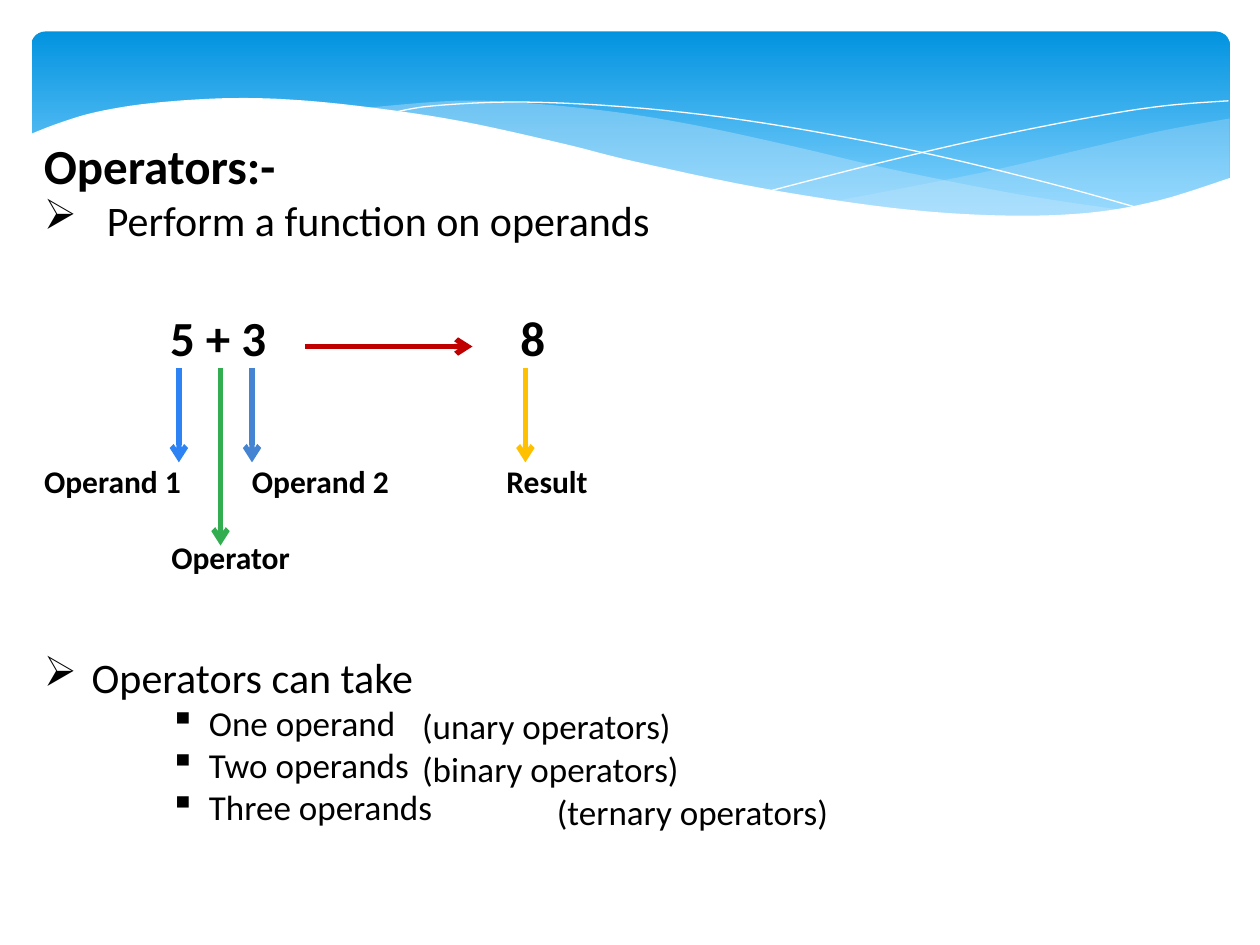
from pptx import Presentation
from pptx.util import Inches, Pt
from pptx.dml.color import RGBColor
from pptx.enum.shapes import MSO_SHAPE, MSO_CONNECTOR
from pptx.enum.text import PP_ALIGN
from pptx.oxml.ns import qn
from lxml.etree import SubElement

THEME = dict(font="Calibri", ink="000000", white="FFFFFF", pale="C6E7FC",
             top="0293E0", low="83D3FE", red="C00000", blue="2D83F4",
             steel="4584D3", gold="FFC000", green="32AE51",
             head=28, body=24, item=20, label=18, line=3)

KINDS = [
    ("One operand", "(unary operators)", 3.35),
    ("Two operands", "(binary operators)", 3.35),
    ("Three operands", "(ternary operators)", 4.42),
]

LINES = [
    dict(text="Operators:-", size="head", bold=True),
    dict(text="Perform a function on operands", size="body", mark="➢", left=0.5, hang=0.5),
    dict(text="Operators can take", size="body", mark="➢", gap=232, left=0.38, hang=0.38),
] + [
    dict(text=count, size="item", mark="▪", left=1.31, hang=0.31, level=2)
    for count, _, _ in KINDS
]

KIND_TOP, KIND_STEP = 5.59, 0.34

LABELS = [
    ("5 + 3", "head", True, 1.35, 2.44),
    ("8", "head", True, 4.13, 2.44),
    ("Operand 1", "label", True, 0.35, 3.67),
    ("Operand 2", "label", True, 2, 3.67),
    ("Result", "label", True, 4.02, 3.67),
    ("Operator", "label", True, 1.36, 4.27),
] + [
    (name, "item", False, left, KIND_TOP + row * KIND_STEP)
    for row, (_, name, left) in enumerate(KINDS)
]

ARROWS = [
    ((2.42, 2.75), (3.75, 2.75), "red"),
    ((1.42, 2.92), (1.42, 3.67), "blue"),
    ((2, 2.92), (2, 3.67), "steel"),
    ((4.17, 2.92), (4.17, 3.67), "gold"),
    ((1.75, 2.92), (1.75, 4.33), "green"),
]

WAVES = [
    dict(fill="pale", alpha=29, curves=[
        [(9.76, 0.94), (9.21, 1.04), (8.61, 1.18), (7.79, 1.37), (6.61, 1.6)],
        [(6.61, 1.6), (7.32, 1.68), (8.14, 1.72), (8.81, 1.67), (9.35, 1.56), (9.76, 1.41)]]),
    dict(fill="pale", alpha=40, curves=[
        [(8.93, 1.67), (8.07, 1.54), (7.06, 1.34), (6.29, 1.16), (5.55, 1), (4.89, 0.89),
         (4.2, 0.82), (3.61, 0.8), (2.86, 0.86)],
        [(2.86, 0.86), (3.62, 0.97), (4.49, 1.16), (5.66, 1.43), (6.5, 1.58), (7.22, 1.68),
         (8.07, 1.73), (8.93, 1.67)]]),
    dict(line="white", curves=[
        [(3.09, 0.9), (3.44, 0.84), (4.16, 0.81), (5.1, 0.86), (6.08, 0.98), (7.27, 1.2),
         (8.31, 1.45), (9.07, 1.66)]]),
    dict(line="white", curves=[
        [(6.13, 1.51), (6.95, 1.3), (7.76, 1.11), (8.66, 0.93), (9.24, 0.84), (9.75, 0.8)]]),
    dict(fill="white", curves=[
        [(9.77, 1.41), (9.2, 1.59), (8.63, 1.69), (7.93, 1.71), (7.08, 1.65), (6.03, 1.49),
         (5.03, 1.28), (4.47, 1.14), (3.65, 0.96), (2.92, 0.85), (2.3, 0.79), (1.77, 0.78),
         (1.19, 0.82), (0.76, 0.89), (0.46, 0.98), (0.23, 1.07)],
        [(0.23, 2.24), (9.77, 2.24)]]),
]


def tint(name):
    return RGBColor.from_string(THEME[name])


def smooth(knots, steps=6):
    if len(knots) < 3:
        return knots
    ends = [knots[0], *knots, knots[-1]]
    out = [knots[0]]
    for a, b, c, d in zip(ends, ends[1:], ends[2:], ends[3:]):
        for step in range(1, steps + 1):
            t = step / steps
            out.append(tuple(
                (2 * q + (r - p) * t + (2 * p - 5 * q + 4 * r - s) * t ** 2
                 + (3 * q - p - 3 * r + s) * t ** 3) / 2
                for p, q, r, s in zip(a, b, c, d)))
    return out


def add_wave(slide, curves, fill=None, alpha=None, line=None):
    dots = [(Inches(x), Inches(y)) for knots in curves for x, y in smooth(knots)]
    pen = slide.shapes.build_freeform(*dots[0])
    pen.add_line_segments(dots[1:], close=bool(fill))
    wave = pen.convert_to_shape()
    wave.shadow.inherit = False
    if fill:
        wave.fill.solid()
        wave.fill.fore_color.rgb = tint(fill)
        wave.line.fill.background()
    else:
        wave.fill.background()
        wave.line.color.rgb = tint(line)
        wave.line.width = Pt(0)
    if alpha:
        color = wave._element.spPr.find(".//" + qn("a:srgbClr"))
        SubElement(color, qn("a:alpha"), val=str(alpha * 1000))


def add_band(slide):
    band = slide.shapes.add_shape(MSO_SHAPE.ROUNDED_RECTANGLE, Inches(0.25), Inches(0.25),
                                  Inches(9.51), Inches(1.56))
    band.adjustments[0] = 0.07
    band.shadow.inherit = False
    band.line.fill.background()
    band.fill.gradient()
    band.fill.gradient_angle = 270
    for stop, name, place in zip(band.fill.gradient_stops, ("top", "low"), (0, 0.9)):
        stop.color.rgb = tint(name)
        stop.position = place


def add_line(para, text, size, bold=False, mark=None, gap=0, left=0, hang=0, level=0):
    para.text = text
    para.level = level
    para.alignment = PP_ALIGN.LEFT
    para.space_before = Pt(gap)
    font = para.runs[0].font
    font.name, font.size, font.bold = THEME["font"], Pt(THEME[size]), bold
    font.color.rgb = tint("ink")
    props = para._p.get_or_add_pPr()
    props.set("marL", str(Inches(left)))
    props.set("indent", str(-Inches(hang)))
    if mark:
        SubElement(props, qn("a:buChar"), char=mark)


def add_text(slide):
    frame = slide.shapes.add_textbox(Inches(0.25), Inches(1.03), Inches(9.17),
                                     Inches(6.23)).text_frame
    frame.word_wrap = True
    for index, line in enumerate(LINES):
        add_line(frame.add_paragraph() if index else frame.paragraphs[0], **line)


def add_label(slide, text, size, bold, left, top):
    width = 2.4 if size == "item" else 1.2
    frame = slide.shapes.add_textbox(Inches(left), Inches(top), Inches(width),
                                     Pt(THEME[size] * 1.22)).text_frame
    frame.margin_left = frame.margin_right = frame.margin_top = frame.margin_bottom = 0
    frame.word_wrap = True
    add_line(frame.paragraphs[0], text, size, bold)


def add_arrow(slide, start, end, color):
    arrow = slide.shapes.add_connector(MSO_CONNECTOR.STRAIGHT,
                                       *(Inches(v) for v in start + end))
    arrow.line.color.rgb = tint(color)
    arrow.line.width = Pt(THEME["line"])
    SubElement(arrow.line._get_or_add_ln(), qn("a:tailEnd"), type="arrow")
    SubElement(arrow._element.spPr, qn("a:effectLst"))


def main():
    deck = Presentation()
    deck.slide_width, deck.slide_height = Inches(10), Inches(7.5)
    slide = deck.slides.add_slide(deck.slide_layouts[6])
    add_band(slide)
    for wave in WAVES:
        add_wave(slide, **wave)
    add_text(slide)
    for label in LABELS:
        add_label(slide, *label)
    for arrow in ARROWS:
        add_arrow(slide, *arrow)
    deck.save("out.pptx")


if __name__ == "__main__":
    main()
